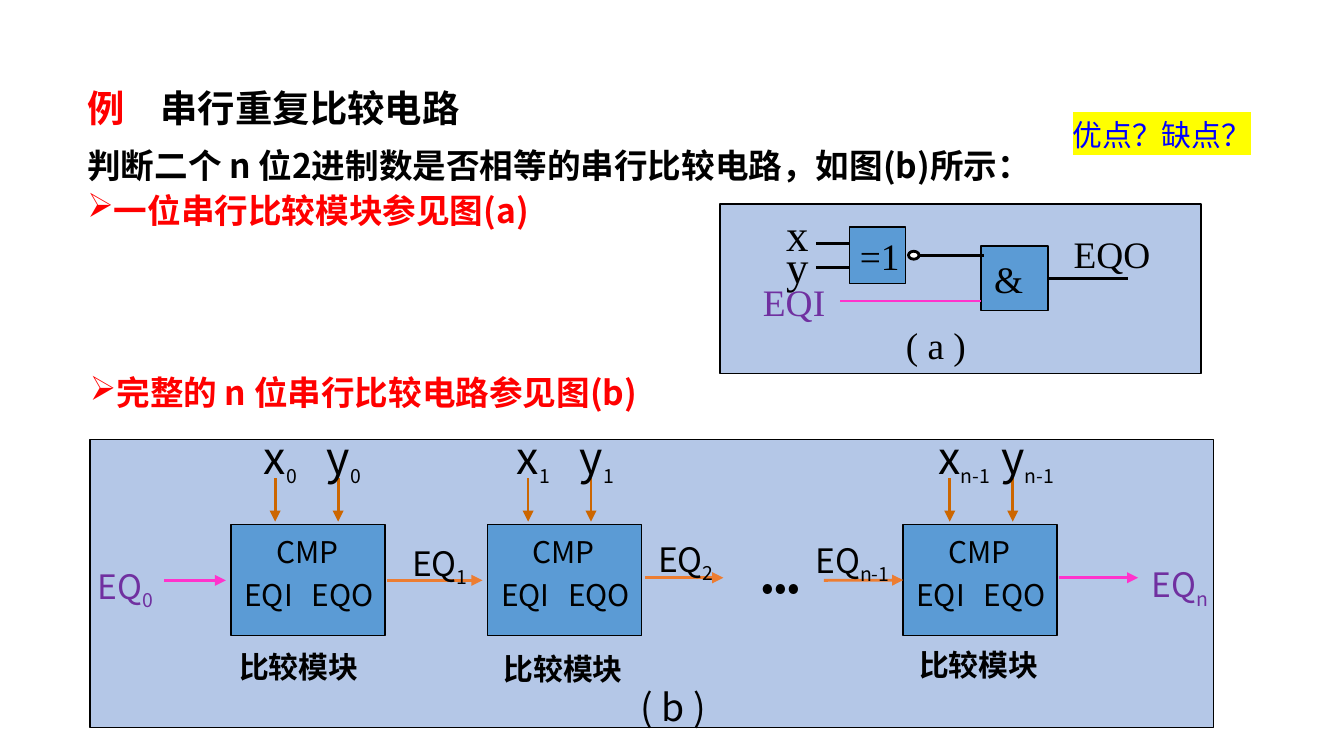
from dataclasses import dataclass, replace

from pptx import Presentation
from pptx.dml.color import RGBColor
from pptx.enum.shapes import MSO_CONNECTOR, MSO_SHAPE
from pptx.enum.text import MSO_ANCHOR, MSO_AUTO_SIZE, PP_ALIGN
from pptx.oxml.ns import qn
from pptx.util import Cm, Pt
from lxml.etree import SubElement


@dataclass(frozen=True)
class Theme:
    sans: str = "Noto Sans CJK JP"
    serif: str = "Times New Roman"
    black: str = "000000"
    white: str = "FFFFFF"
    red: str = "FF0000"
    blue: str = "0000FF"
    yellow: str = "FFFF00"
    purple: str = "7030A0"
    pink: str = "FF33CC"
    orange: str = "ED7D31"
    brown: str = "CC6600"
    panel: str = "B4C7E7"
    block: str = "5B9BD5"
    large: int = 24
    title: int = 20
    body: int = 18
    small: int = 16
    thin: float = 0.75
    thick: float = 1.5


T = Theme()


@dataclass(frozen=True)
class Style:
    size: int
    color: str = T.black
    font: str = T.sans
    bold: bool = False


@dataclass(frozen=True)
class Label:
    text: str
    x: float
    y: float
    w: float
    h: float
    style: Style
    sub: str = ""


@dataclass(frozen=True)
class Wire:
    x1: float
    y1: float
    x2: float
    y2: float
    color: str = T.black
    arrow: bool = False


@dataclass(frozen=True)
class Module:
    x: float
    input_x: float
    index: str
    caption_x: float
    caption_y: float


def add_run(p, text: str, style: Style):
    r = p.add_run()
    r.text = text
    r.font.size = Pt(style.size)
    r.font.bold = style.bold
    r.font.color.rgb = RGBColor.from_string(style.color)
    r.font.name = style.font
    SubElement(r.font._element, qn("a:ea")).set("typeface", style.font)
    return r


def add_box(s, x: float, y: float, w: float, h: float):
    tf = s.shapes.add_textbox(Cm(x), Cm(y), Cm(w), Cm(h)).text_frame
    tf.word_wrap = True
    return tf


def add_label(s, label: Label):
    tf = add_box(s, label.x, label.y, label.w, label.h)
    tf.auto_size = MSO_AUTO_SIZE.SHAPE_TO_FIT_TEXT
    p = tf.paragraphs[0]
    r = add_run(p, label.text, label.style)
    if label.sub:
        sub_style = replace(label.style, size=min(label.style.size, T.body))
        add_run(p, label.sub, sub_style).font._element.set("baseline", "-25000")
    return r


def set_hanging(p, bullet: str = "") -> None:
    pPr = p._p.get_or_add_pPr()
    pPr.set("marL", str(Cm(0.5)))
    pPr.set("indent", str(-Cm(0.5)))
    if bullet:
        SubElement(pPr, qn("a:buChar")).set("char", bullet)
    else:
        SubElement(pPr, qn("a:buNone"))


def add_block(s, x: float, y: float, w: float, h: float, fill: str,
              shape=MSO_SHAPE.RECTANGLE, line: float = T.thin):
    sp = s.shapes.add_shape(shape, Cm(x), Cm(y), Cm(w), Cm(h))
    sp.shadow.inherit = False
    sp.fill.solid()
    sp.fill.fore_color.rgb = RGBColor.from_string(fill)
    sp.line.color.rgb = RGBColor.from_string(T.black)
    sp.line.width = Pt(line)
    return sp


def add_wire(s, wire: Wire):
    c = s.shapes.add_connector(MSO_CONNECTOR.STRAIGHT, Cm(wire.x1), Cm(wire.y1),
                               Cm(wire.x2), Cm(wire.y2))
    c.line.color.rgb = RGBColor.from_string(wire.color)
    c.line.width = Pt(T.thick)
    if wire.arrow:
        SubElement(c.line._get_or_add_ln(), qn("a:tailEnd")).set("type", "triangle")
    SubElement(c._element.spPr, qn("a:effectLst"))
    return c


def add_module(s, m: Module):
    sp = add_block(s, m.x, 9.91, 2.91, 2.11, T.block)
    port = Style(T.small)
    add_label(s, Label("CMP", m.x + 0.6, 9.96, 2.11, 0.94, port))
    add_label(s, Label("EQI", m.x, 10.77, 1.7, 0.94, port))
    add_label(s, Label("EQO", m.x + 1.27, 10.77, 1.85, 0.94, port))
    add_label(s, Label("比较模块", m.caption_x, m.caption_y, 2.97, 0.94,
                       replace(port, bold=True)))
    for i, name in enumerate("xy"):
        x = m.input_x + 1.19 * i
        add_wire(s, Wire(x, 9.04, x, 9.86, T.brown, True))
        add_label(s, Label(name, x - 0.46, 8, 2.11, 1.27, Style(T.large), m.index))
    return sp


def add_heading(s) -> None:
    title = s.shapes.title
    title.left, title.top, title.width, title.height = Cm(1.4), Cm(1.65), Cm(12.7), Cm(1.5)
    tf = title.text_frame
    tf.auto_size = MSO_AUTO_SIZE.NONE
    tf.vertical_anchor = MSO_ANCHOR.TOP
    p = tf.paragraphs[0]
    tabs = SubElement(p._p.get_or_add_pPr(), qn("a:tabLst"))
    tab = SubElement(tabs, qn("a:tab"))
    tab.set("pos", str(Cm(1.38)))
    tab.set("algn", "l")
    p.alignment = PP_ALIGN.LEFT
    p.line_spacing = 0.8
    add_run(p, "例", Style(T.title, T.red, bold=True))
    add_run(p, "\t串行重复比较电路", Style(T.title, bold=True))


def add_body(s) -> None:
    text = Style(T.body, bold=True)
    point = replace(text, color=T.red)
    tf = add_box(s, 1.4, 2.77, 23.5, 2.13)
    p = tf.paragraphs[0]
    set_hanging(p)
    p.line_spacing = 0.8
    add_run(p, "判断二个 n 位2进制数是否相等的串行比较电路，如图(b)所示：", text)
    p = tf.add_paragraph()
    set_hanging(p, "➢")
    p.line_spacing = 0.8
    p.space_before = Pt(6.5)
    add_run(p, "一位串行比较模块参见图(a)", point)

    p = add_box(s, 1.45, 6.91, 16.94, 1.02).paragraphs[0]
    set_hanging(p, "➢")
    add_run(p, "完整的 n 位串行比较电路参见图(b)", point)

    # Highlighted question
    r = add_label(s, Label("优点？缺点？", 20.02, 2.08, 4.93, 0.94, Style(T.small, T.blue)))
    highlight = SubElement(r.font._element, qn("a:highlight"))
    SubElement(highlight, qn("a:srgbClr")).set("val", T.yellow)
    r.font._element.find(qn("a:solidFill")).addnext(highlight)


def add_gate_diagram(s) -> None:
    add_block(s, 13.61, 3.86, 9.09, 3.2, T.panel)
    add_block(s, 16.05, 4.29, 1.07, 1.07, T.block)
    and_gate = add_block(s, 18.54, 4.65, 1.27, 1.22, T.block)
    for wire in (Wire(15.42, 4.6, 16.05, 4.6), Wire(15.42, 5.05, 16.05, 5.05),
                 Wire(17.32, 4.83, 18.59, 4.83), Wire(15.88, 5.69, 18.54, 5.69, T.pink)):
        add_wire(s, wire)
    add_wire(s, Wire(19.81, 5.26, 21.31, 5.26)).begin_connect(and_gate, 3)
    add_block(s, 17.17, 4.75, 0.2, 0.15, T.white, MSO_SHAPE.OVAL, T.thick)
    sign = Style(T.title, font=T.serif)
    pin = replace(sign, size=T.large)
    for label in (Label("x", 14.61, 3.78, 1.07, 1.27, pin),
                  Label("y", 14.61, 4.39, 1.07, 1.27, pin),
                  Label("=1", 16, 4.29, 1.47, 1.12, sign),
                  Label("&", 18.54, 4.72, 1.27, 1.12, sign),
                  Label("EQI", 14.17, 5.16, 2.34, 1.12, replace(sign, color=T.purple)),
                  Label("EQO", 20.04, 4.24, 2.34, 1.12, sign),
                  Label("( a )", 16.87, 5.97, 2.11, 1.12, sign)):
        add_label(s, label)


def add_chain_diagram(s) -> None:
    add_block(s, 1.7, 8.31, 21.23, 5.44, T.panel)
    modules = [Module(4.37, 5.2, "0", 4.27, 12.14),
               Module(9.22, 9.98, "1", 9.27, 12.17),
               Module(17.07, 17.95, "n-1", 17.12, 12.09)]
    blocks = [add_module(s, m) for m in modules]
    for wire in (Wire(3.1, 10.97, 4.27, 10.97, T.pink, True),
                 Wire(7.32, 10.97, 9.12, 10.97, T.orange, True),
                 Wire(12.19, 10.92, 13.67, 10.92, T.orange, True),
                 Wire(20.02, 10.92, 21.51, 10.92, T.pink, True)):
        add_wire(s, wire)
    last = add_wire(s, Wire(15.57, 10.97, 17.07, 10.97, T.orange, True))
    last.end_connect(blocks[-1], 1)
    signal = Style(T.body)
    end = replace(signal, color=T.purple)
    for label in (Label("EQ", 1.6, 10.57, 1.7, 1.02, end, "0"),
                  Label("EQ", 7.54, 10.13, 1.7, 1.02, signal, "1"),
                  Label("EQ", 12.19, 10.06, 1.7, 1.02, signal, "2"),
                  Label("EQ", 15.16, 10.08, 2.11, 1.02, signal, "n-1"),
                  Label("EQ", 21.51, 10.54, 1.7, 1.02, end, "n"),
                  Label("•••", 14.15, 10.52, 2.34, 1.12, Style(T.title)),
                  Label("( b )", 11.86, 12.8, 2.11, 1.12, Style(T.title))):
        add_label(s, label)


def main() -> None:
    prs = Presentation()
    prs.slide_width, prs.slide_height = Cm(25.4), Cm(14.29)
    s = prs.slides.add_slide(prs.slide_layouts[5])
    add_heading(s)
    add_body(s)
    add_gate_diagram(s)
    add_chain_diagram(s)
    prs.save("out.pptx")


if __name__ == "__main__":
    main()
